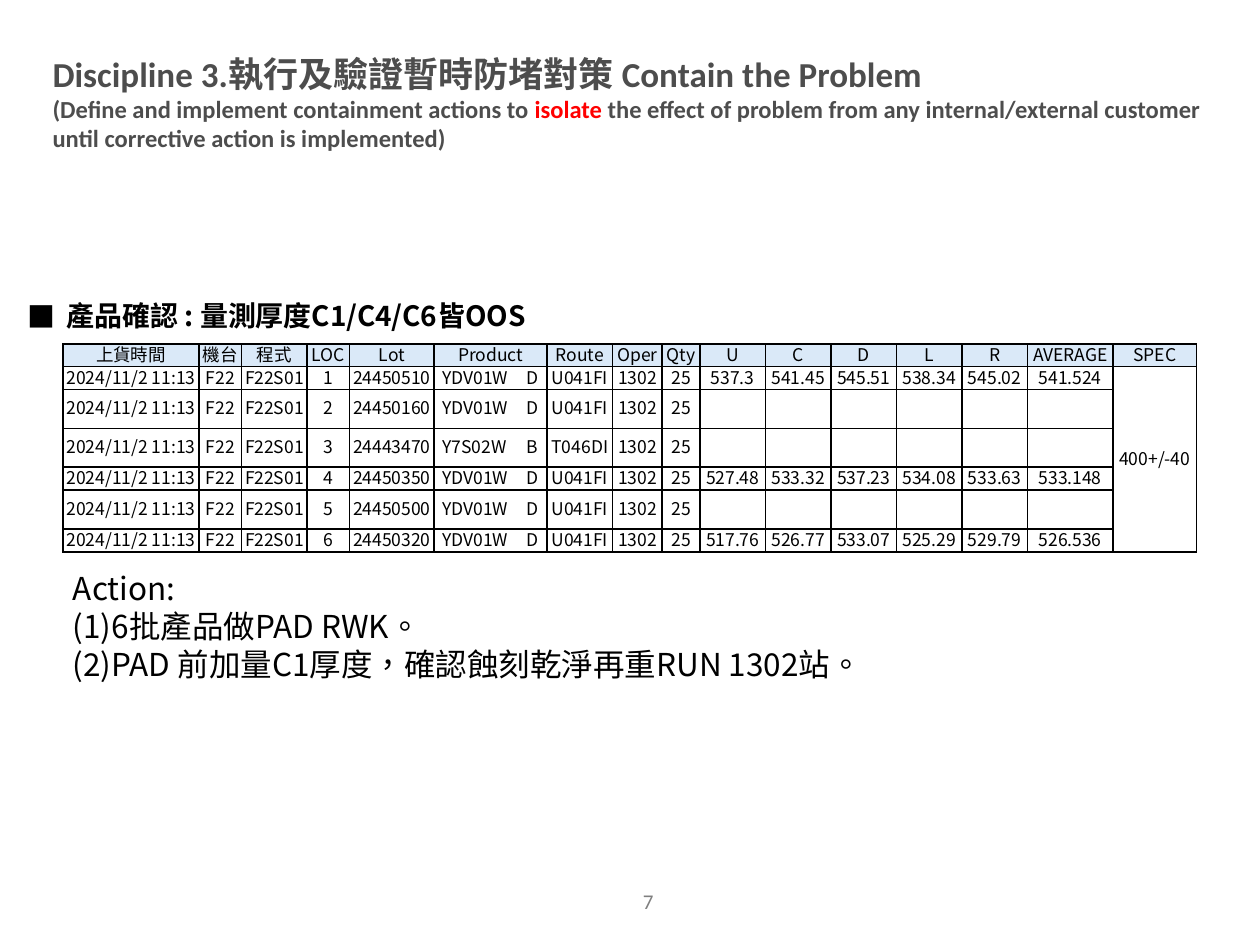
from lxml.etree import SubElement
from pptx import Presentation
from pptx.dml.color import RGBColor
from pptx.enum.text import MSO_ANCHOR as Anchor, PP_ALIGN as Align
from pptx.oxml.ns import qn
from pptx.util import Cm, Pt

COLORS = {
    "text": "000000", "heading": "4D4D4D", "accent": "FF0000",
    "page": "7F7F7F", "header_fill": "DAE9F8", "cell_fill": "FFFFFF",
}
LATIN, CJK = "Calibri", "Noto Sans CJK SC"

COLUMNS = ["上貨時間", "機台", "程式", "LOC", "Lot", "Product", "Route", "Oper",
           "Qty", "U", "C", "D", "L", "R", "AVERAGE", "SPEC"]
WIDTHS = [2.74, 0.86, 1.32, 0.86, 1.7, 2.28, 1.32, 1, 0.76,
          1.32, 1.32, 1.32, 1.32, 1.32, 1.73, 1.68]
# Lot, product, product suffix, route, measured thickness
LOTS = [
    ("24450510", "YDV01W", "D", "U041FI",
     ["537.3", "541.45", "545.51", "538.34", "545.02", "541.524"]),
    ("24450160", "YDV01W", "D", "U041FI", [""] * 6),
    ("24443470", "Y7S02W", "B", "T046DI", [""] * 6),
    ("24450350", "YDV01W", "D", "U041FI",
     ["527.48", "533.32", "537.23", "534.08", "533.63", "533.148"]),
    ("24450500", "YDV01W", "D", "U041FI", [""] * 6),
    ("24450320", "YDV01W", "D", "U041FI",
     ["517.76", "526.77", "533.07", "525.29", "529.79", "526.536"]),
]


def rgb(name):
    return RGBColor.from_string(COLORS[name])


def style_run(run, size, color="text", bold=False, family=CJK):
    font = run.font
    font.size, font.bold, font.name = Pt(size), bold, family
    font.color.rgb = rgb(color)
    if family == CJK:
        properties = run._r.get_or_add_rPr()
        properties.set("lang", "zh-TW")
        SubElement(properties, qn("a:ea"), typeface=CJK)


def add_text_frame(slide, box, anchor=Anchor.TOP):
    frame = slide.shapes.add_textbox(*map(Cm, box)).text_frame
    frame.word_wrap = True
    frame.vertical_anchor = anchor
    return frame


def add_discipline_heading(slide, box):
    frame = add_text_frame(slide, box, Anchor.MIDDLE)
    discipline, definition = frame.paragraphs[0], frame.add_paragraph()
    discipline.text = "Discipline 3.執行及驗證暫時防堵對策 Contain the Problem"
    style_run(discipline.runs[0], 20, "heading", True, LATIN)
    for text, color in [
        ("(Define and implement containment actions to ", "heading"),
        ("isolate", "accent"),
        (" the effect of problem from any internal/external customer "
         "until corrective action is implemented)", "heading"),
    ]:
        run = definition.add_run()
        run.text = text
        style_run(run, 14, color, True, LATIN)


def place_product_check(slide, box):
    title = slide.shapes.title
    title.left, title.top, title.width, title.height = map(Cm, box)
    frame = title.text_frame
    frame.text = "產品確認 : 量測厚度C1/C4/C6皆OOS"
    frame.vertical_anchor = Anchor.MIDDLE
    frame.margin_bottom = Cm(1.6)  # lifts the line clear of the table
    check = frame.paragraphs[0]
    check.alignment = Align.LEFT
    style_run(check.runs[0], 16, bold=True)
    # Hanging square bullet
    properties = check._p.get_or_add_pPr()
    properties.set("marL", str(Cm(0.79)))
    properties.set("indent", str(-Cm(0.79)))
    SubElement(properties, qn("a:buFont"), typeface=CJK)
    SubElement(properties, qn("a:buChar"), char="■")


def add_borders(cell):
    properties = cell._tc.get_or_add_tcPr()
    for index, side in enumerate(("lnL", "lnR", "lnT", "lnB")):
        line = properties.makeelement(qn(f"a:{side}"), {"w": str(Pt(1))})
        fill = SubElement(line, qn("a:solidFill"))
        SubElement(fill, qn("a:srgbClr"), val=COLORS["text"])
        properties.insert(index, line)


def fill_cell(cell, text, fill):
    cell.text = text
    cell.vertical_anchor = Anchor.MIDDLE
    cell.margin_left = cell.margin_right = cell.margin_top = Cm(0.02)
    cell.margin_bottom = 0
    cell.fill.solid()
    cell.fill.fore_color.rgb = rgb(fill)
    add_borders(cell)
    entry = cell.text_frame.paragraphs[0]
    entry.alignment = Align.CENTER
    entry.line_spacing = Pt(12)
    for run in entry.runs:
        style_run(run, 10)
    # Product code and suffix stand apart on a tab stop
    if "\t" in text:
        entry.alignment = Align.LEFT
        cell.margin_left = Cm(0.17)
        stops = SubElement(entry._p.get_or_add_pPr(), qn("a:tabLst"))
        SubElement(stops, qn("a:tab"), pos=str(Cm(1.7)), algn="l")


def add_thickness_table(slide, box):
    rows = [COLUMNS]
    for loc, (lot, product, suffix, route, measured) in enumerate(LOTS, 1):
        rows.append(["2024/11/2 11:13", "F22", "F22S01", str(loc), lot,
                     f"{product}\t{suffix}", route, "1302", "25", *measured,
                     "400+/-40" if loc == 1 else ""])
    table = slide.shapes.add_table(len(rows), len(COLUMNS), *map(Cm, box)).table
    table.first_row = table.horz_banding = False
    for column, width in zip(table.columns, WIDTHS):
        column.width = Cm(width)
    for r, row in enumerate(rows):
        for c, text in enumerate(row):
            fill_cell(table.cell(r, c), text, "cell_fill" if r else "header_fill")
    last = len(COLUMNS) - 1
    table.cell(1, last).merge(table.cell(len(LOTS), last))


def add_actions(slide, box):
    frame = add_text_frame(slide, box)
    frame.text = ("Action:\n(1)6批產品做PAD RWK。\n"
                  "(2)PAD 前加量C1厚度，確認蝕刻乾淨再重RUN 1302站。")
    for action in frame.paragraphs:
        action.line_spacing = Pt(21.8)
        style_run(action.runs[0], 18)


def add_page_number(slide, box):
    frame = add_text_frame(slide, box, Anchor.MIDDLE)
    frame.text = "7"
    frame.paragraphs[0].alignment = Align.CENTER
    style_run(frame.paragraphs[0].runs[0], 12, "page", family=LATIN)


def main():
    deck = Presentation()
    deck.slide_width, deck.slide_height = Cm(25.4), Cm(19.05)
    slide = deck.slides.add_slide(deck.slide_layouts[5])
    # Boxes are left, top, width, height in centimetres
    place_product_check(slide, (0.3, 5.26, 24.61, 3.66))
    add_page_number(slide, (10.11, 17.65, 5.92, 1.02))
    add_discipline_heading(slide, (0.81, 0.91, 24.26, 2.31))
    add_thickness_table(slide, (1.27, 6.93, 22.85, 3.23))
    add_actions(slide, (1.22, 11.33, 19.69, 2.57))
    deck.save("out.pptx")


if __name__ == "__main__":
    main()
